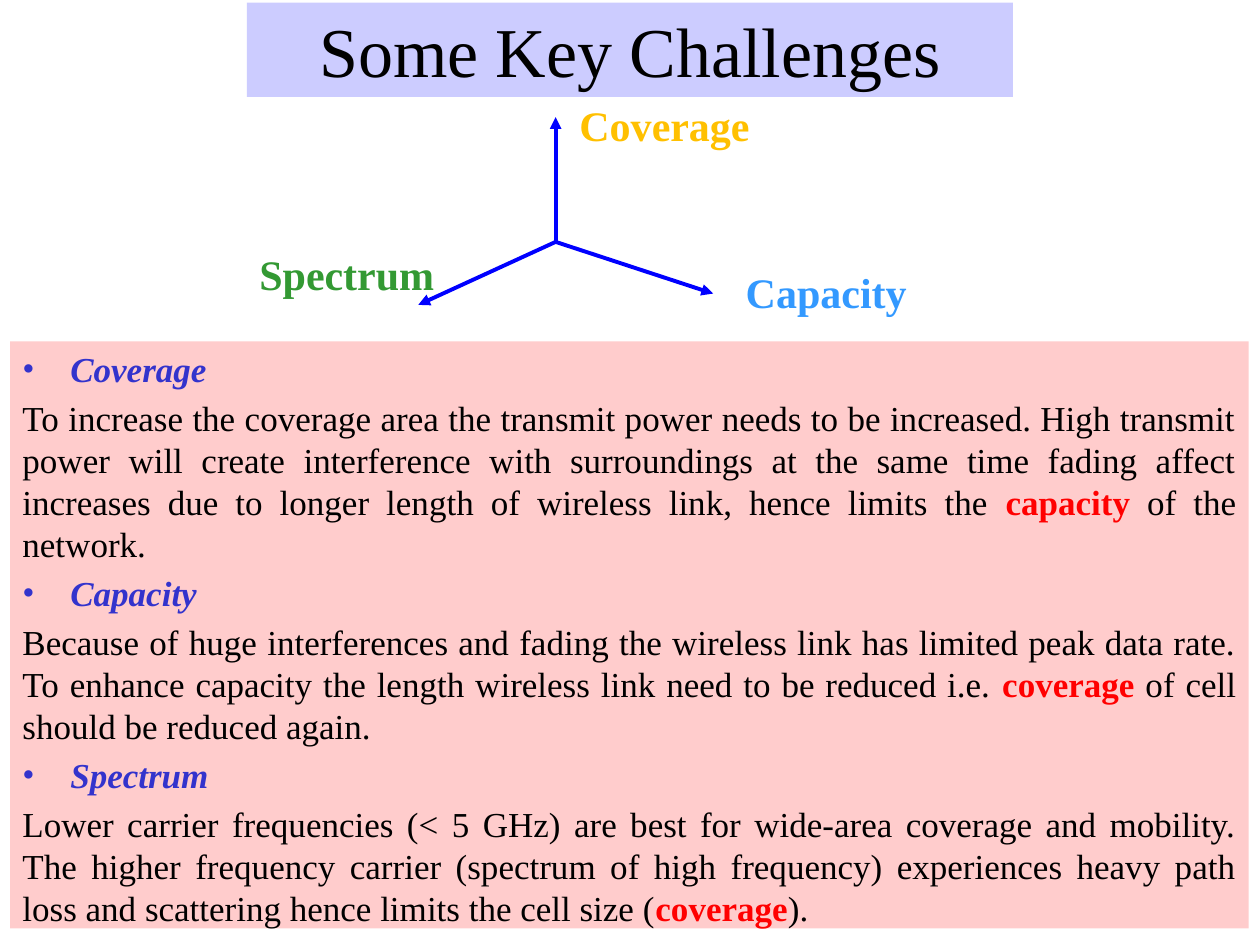
from lxml.etree import SubElement
from pptx import Presentation
from pptx.dml.color import RGBColor
from pptx.enum.shapes import MSO_CONNECTOR
from pptx.enum.text import MSO_ANCHOR, PP_ALIGN
from pptx.oxml.ns import qn
from pptx.util import Inches, Pt

FONT = "Times New Roman"
HEADING = {"color": "3333CC", "bold": True, "italic": True}
PLAIN = {"color": "000000"}
KEYWORD = {"color": "FF0000", "bold": True}

# Heading, text before the keyword, keyword, text after it
CHALLENGES = [
    ("Coverage",
     "To increase the coverage area the transmit power needs to be increased. "
     "High transmit power will create interference with surroundings at the same "
     "time fading affect increases due to longer length of wireless link, hence "
     "limits the ", "capacity", " of the network."),
    ("Capacity",
     "Because of huge interferences and fading the wireless link has limited peak "
     "data rate. To enhance capacity the length wireless link need to be reduced "
     "i.e. ", "coverage", " of cell should be reduced again."),
    ("Spectrum",
     "Lower carrier frequencies (< 5 GHz) are best for wide-area coverage and "
     "mobility. The higher frequency carrier (spectrum of high frequency) "
     "experiences heavy path loss and scattering hence limits the cell size (",
     "coverage", ")."),
]

# Label, colour, label box and arrow tip, relative to the diagram's corner
AXES = [
    ("Coverage", "FFC000", (2.54, 0, 1.58, 0.5), (2.45, 0.19)),
    ("Capacity", "3399FF", (3.86, 1.33, 1.58, 0.5), (3.7, 1.59)),
    ("Spectrum", "339933", (0, 1.18, 1.62, 0.5), (1.36, 1.68)),
]
ORIGIN = (2.45, 1.18)


def rgb(value):
    return RGBColor.from_string(value)


def add_run(paragraph, text, size, color, **formats):
    run = paragraph.add_run()
    run.text = text
    run.font.color.rgb = rgb(color)
    for name, value in {"name": FONT, "size": Pt(size), **formats}.items():
        setattr(run.font, name, value)


def add_box(shapes, box, fill=None):
    shape = shapes.add_textbox(*(Inches(value) for value in box))
    shape.text_frame.word_wrap = True
    if fill:
        shape.fill.solid()
        shape.fill.fore_color.rgb = rgb(fill)
    return shape.text_frame


def add_title(slide, box):
    frame = add_box(slide.shapes, box, "CCCCFF")
    frame.vertical_anchor = MSO_ANCHOR.MIDDLE
    paragraph = frame.paragraphs[0]
    paragraph.alignment = PP_ALIGN.CENTER
    add_run(paragraph, "Some Key Challenges", 40, "000000")


def add_arrow(shapes, start, end):
    points = (Inches(value) for value in (*start, *end))
    connector = shapes.add_connector(MSO_CONNECTOR.STRAIGHT, *points)
    connector.line.color.rgb = rgb("0000FF")
    connector.line.width = Pt(2.25)
    properties = connector._element.spPr
    SubElement(properties.find(qn("a:ln")), qn("a:tailEnd"), type="triangle")
    SubElement(properties, qn("a:effectLst"))


def add_axes(slide, left, top):
    shapes = slide.shapes.add_group_shape().shapes
    origin = (left + ORIGIN[0], top + ORIGIN[1])
    for label, color, (x, y, width, height), tip in AXES:
        add_arrow(shapes, origin, (left + tip[0], top + tip[1]))
        frame = add_box(shapes, (left + x, top + y, width, height))
        add_run(frame.paragraphs[0], label, 24, color, bold=True)


def add_bullet(paragraph):
    properties = paragraph._p.get_or_add_pPr()
    properties.set("marL", str(Inches(0.38)))
    properties.set("indent", str(-Inches(0.38)))
    SubElement(properties, qn("a:buFont"), typeface=FONT)
    SubElement(properties, qn("a:buChar"), char="•")


def add_challenges(slide, box):
    frame = add_box(slide.shapes, box, "FFCCCC")
    for index, (heading, before, keyword, after) in enumerate(CHALLENGES):
        title = frame.add_paragraph() if index else frame.paragraphs[0]
        body = frame.add_paragraph()
        for paragraph in (title, body):
            paragraph.alignment = PP_ALIGN.JUSTIFY
            if index or paragraph is body:
                paragraph.space_before = Pt(4)
        add_bullet(title)
        add_run(title, heading, 20, **HEADING)
        for text, style in ((before, PLAIN), (keyword, KEYWORD), (after, PLAIN)):
            add_run(body, text, 20, **style)


def main():
    presentation = Presentation()
    presentation.slide_width = Inches(10)
    presentation.slide_height = Inches(7.5)
    slide = presentation.slides.add_slide(presentation.slide_layouts[6])

    add_title(slide, (1.96, 0.02, 6.08, 0.75))
    add_challenges(slide, (0.08, 2.71, 9.83, 4.66))
    add_axes(slide, 1.96, 0.74)

    presentation.save("out.pptx")


if __name__ == "__main__":
    main()
